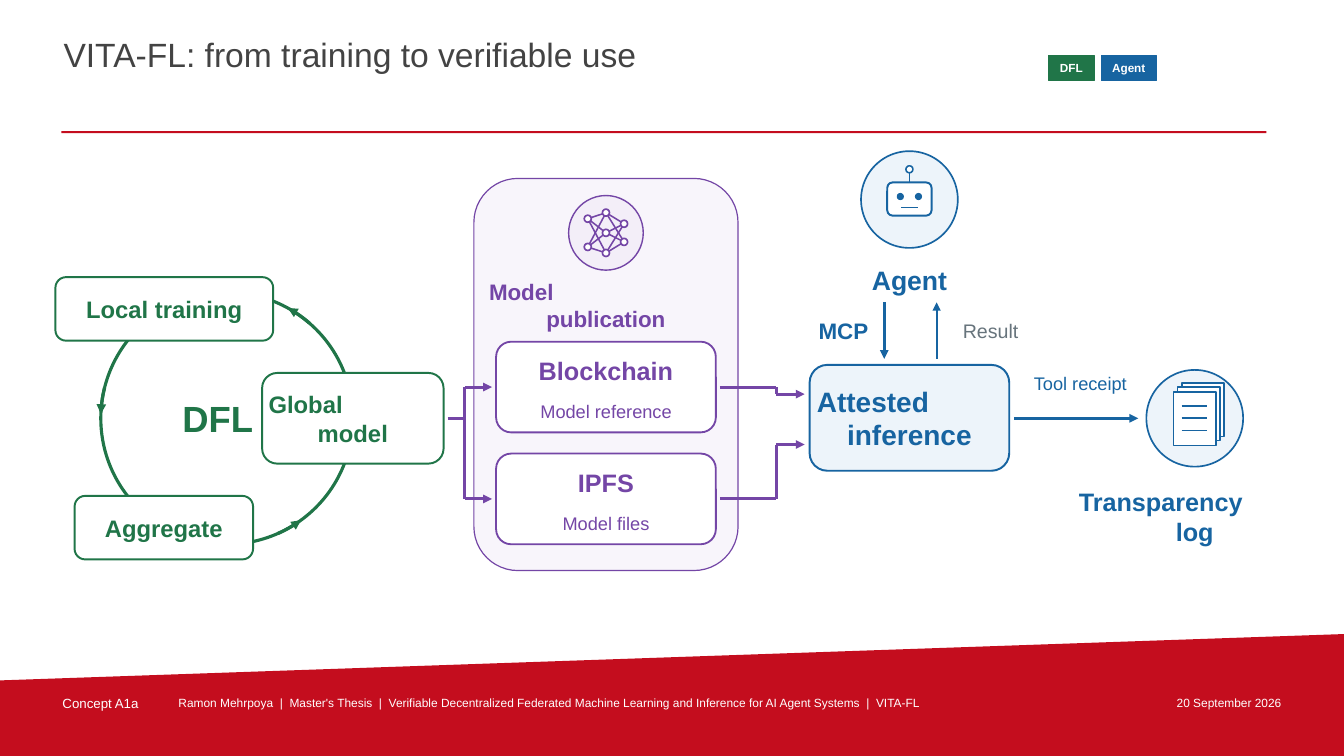
"""Build the VITA-FL slide: training loop, model publication and verifiable use."""
from itertools import product
from math import cos, radians, sin

from lxml.etree import SubElement
from pptx import Presentation
from pptx.dml.color import RGBColor
from pptx.enum.shapes import MSO_CONNECTOR, MSO_SHAPE
from pptx.enum.text import MSO_ANCHOR, PP_ALIGN
from pptx.oxml.ns import qn
from pptx.util import Inches, Pt

RED = RGBColor(0xC4, 0x0D, 0x1E)
GREEN = RGBColor(0x20, 0x75, 0x48)
BLUE = RGBColor(0x17, 0x64, 0xA1)
PURPLE = RGBColor(0x74, 0x46, 0xA6)
DARK = RGBColor(0x43, 0x43, 0x43)
GREY = RGBColor(0x67, 0x74, 0x7C)
WHITE = RGBColor(0xFF, 0xFF, 0xFF)
PALE_BLUE = RGBColor(0xED, 0xF4, 0xFA)
PALE_PURPLE = RGBColor(0xF8, 0xF5, 0xFB)
SOFT_PURPLE = RGBColor(0xF3, 0xEE, 0xF8)

RECT, ROUND, OVAL = MSO_SHAPE.RECTANGLE, MSO_SHAPE.ROUNDED_RECTANGLE, MSO_SHAPE.OVAL
LEFT, CENTER, RIGHT = PP_ALIGN.LEFT, PP_ALIGN.CENTER, PP_ALIGN.RIGHT

WIDTH, HEIGHT = 13.33, 7.5
BAND = [(0, 6.75), (WIDTH, 6.29), (WIDTH, HEIGHT), (0, HEIGHT)]
FRAME_TEXTS = [
    ("VITA-FL: from training to verifiable use", (0.61, 0.32, 9.65, 0.62), 24, DARK, LEFT),
    ("Concept A1a", (0.6, 6.88, 1, 0.22), 9.5, WHITE, LEFT),
    ("Ramon Mehrpoya  |  Master's Thesis  |  Verifiable Decentralized Federated Machine "
     "Learning and Inference for AI Agent Systems  |  VITA-FL",
     (1.75, 6.88, 9.35, 0.22), 8.5, WHITE, LEFT),
    ("20 September 2026", (11.2, 6.88, 1.53, 0.22), 8.5, WHITE, RIGHT),
]
BADGES = [("DFL", (10.4, 0.55, 0.45, 0.25), GREEN), ("Agent", (10.92, 0.55, 0.55, 0.25), BLUE)]
LOOP_CENTER, LOOP_RADIUS = (2.25, 4.15), 1.25
LOOP_ARROW_STARTS, LOOP_SWEEP, LOOP_PIECES = (194, 66, -49), -12, 8
STAGES = [
    ("Local training", (0.55, 2.75, 2.16, 0.63), 17, GREEN, WHITE),
    ("Aggregate", (0.74, 4.92, 1.77, 0.63), 17, GREEN, WHITE),
    ("Global\nmodel", (2.6, 3.7, 1.8, 0.9), 17, GREEN, WHITE),
    ("Attested\ninference", (8.03, 3.62, 1.98, 1.05), 20, BLUE, PALE_BLUE),
]
LABELS = [
    ("Model\npublication", (4.85, 2.71, 2.32, 0.64), 16, PURPLE, True),
    ("DFL", (1.49, 3.9, 1.34, 0.5), 26, GREEN, True),
    ("Agent", (7.87, 2.59, 2.3, 0.38), 19, BLUE, True),
    ("MCP", (8.04, 3.13, 0.65, 0.3), 16, BLUE, True),
    ("Result", (9.43, 3.13, 0.79, 0.3), 14, GREY, False),
    ("Tool receipt", (10.1, 3.64, 1.23, 0.33), 13, BLUE, False),
    ("Transparency\nlog", (10.7, 4.76, 2.3, 0.72), 18, BLUE, True),
]
CARDS = [("Blockchain", "Model reference", 3.39), ("IPFS", "Model files", 4.5)]
ROUTES = [
    ([(4.44, 4.15), (4.61, 4.15), (4.61, 3.84), (4.88, 3.84)], PURPLE, 2.1),
    ([(4.61, 4.15), (4.61, 4.95), (4.88, 4.95)], PURPLE, 2.1),
    ([(7.14, 3.84), (7.7, 3.84), (7.7, 3.91), (7.98, 3.91)], PURPLE, 2.1),
    ([(7.14, 4.95), (7.7, 4.95), (7.7, 4.41), (7.98, 4.41)], PURPLE, 2.1),
    ([(8.77, 3), (8.77, 3.56)], BLUE, 2.1),
    ([(9.29, 3.56), (9.29, 3)], BLUE, 1.5),
    ([(10.06, 4.15), (11.29, 4.15)], BLUE, 2.1),
]
NETWORK_LAYERS = [
    [(5.83, 2.17), (5.83, 2.45)],
    [(6.01, 2.11), (6.01, 2.31), (6.01, 2.51)],
    [(6.19, 2.22), (6.19, 2.4)],
]

deck = Presentation()
deck.slide_width, deck.slide_height = Inches(WIDTH), Inches(HEIGHT)
page = deck.slides.add_slide(deck.slide_layouts[6])


def write(box, text, size, color, bold=False, align=CENTER, anchor=MSO_ANCHOR.MIDDLE, inset=(0, 0)):
    """Fill a box with text; a two-line label starts flush left."""
    frame = box.text_frame
    frame.word_wrap = True
    frame.vertical_anchor = anchor
    frame.margin_left = frame.margin_right = Inches(inset[0])
    frame.margin_top = frame.margin_bottom = Inches(inset[1])
    frame.text = text
    for para in frame.paragraphs:
        para.alignment = align
        for span in para.runs:
            span.font.name, span.font.size = "Arial", Pt(size)
            span.font.bold, span.font.color.rgb = bold, color
    if len(frame.paragraphs) > 1:
        frame.paragraphs[0].alignment = LEFT


def add_text(text, place, size, color, **style):
    """Add a text box."""
    write(page.shapes.add_textbox(*map(Inches, place)), text, size, color, **style)


def paint(shape, fill, line=None, weight=1):
    """Set fill and outline, without shadow."""
    shape.shadow.inherit = False
    shape.fill.solid()
    shape.fill.fore_color.rgb = fill
    if line is None:
        shape.line.fill.background()
    else:
        shape.line.color.rgb, shape.line.width = line, Pt(weight)
    return shape


def add_shape(kind, place, fill, line=None, weight=1):
    """Add a painted preset shape."""
    return paint(page.shapes.add_shape(kind, *map(Inches, place)), fill, line, weight)


def add_dot(center, size, fill, line, weight):
    """Add a circle around a center point."""
    corner = [value - size / 2 for value in center]
    add_shape(OVAL, (*corner, size, size), fill, line, weight)


def add_route(points, color, weight, arrow=True):
    """Join points with straight lines, the last one ending in an arrowhead."""
    for start, end in zip(points, points[1:]):
        line = page.shapes.add_connector(MSO_CONNECTOR.STRAIGHT, *map(Inches, (*start, *end)))
        line.line.color.rgb, line.line.width = color, Pt(weight)
        properties = line._element.spPr
        SubElement(properties, qn("a:effectLst"))
        if arrow and end == points[-1]:
            SubElement(properties.find(qn("a:ln")), qn("a:tailEnd"), type="triangle")


def draw_frame():
    """Draw the title, rule, badges and footer."""
    corners = [(Inches(x), Inches(y)) for x, y in BAND]
    outline = page.shapes.build_freeform(*corners[0])
    outline.add_line_segments(corners[1:], close=True)
    paint(outline.convert_to_shape(), RED)
    add_shape(RECT, (0.61, 1.3, 11.95, 0.02), RED)
    for text, place, size, color, align in FRAME_TEXTS:
        add_text(text, place, size, color, align=align, anchor=MSO_ANCHOR.TOP, inset=(0.02, 0.02))
    for text, place, color in BADGES:
        write(add_shape(RECT, place, color, color, 0.55), text, 8.4, WHITE, bold=True)


def draw_publication():
    """Draw the publication panel with its network icon and cards."""
    add_shape(ROUND, (4.7, 1.77, 2.62, 3.89), PALE_PURPLE, PURPLE, 0.85)
    add_dot((6.01, 2.31), 0.74, SOFT_PURPLE, PURPLE, 1)
    for layer, following in zip(NETWORK_LAYERS, NETWORK_LAYERS[1:]):
        for link in product(layer, following):
            add_route(link, PURPLE, 1.1, arrow=False)
    for node in sum(NETWORK_LAYERS, []):
        add_dot(node, 0.07, WHITE, PURPLE, 1.2)
    for name, detail, top in CARDS:
        add_shape(ROUND, (4.92, top, 2.18, 0.9), WHITE, PURPLE, 1.3)
        add_text(name, (5, top + 0.11, 2.02, 0.36), 18, PURPLE, bold=True)
        add_text(detail, (5, top + 0.55, 2.02, 0.28), 13, PURPLE)


def draw_loop():
    """Draw the training circle with its arrows."""
    add_dot(LOOP_CENTER, 2 * LOOP_RADIUS, WHITE, GREEN, 2.25)
    for start in LOOP_ARROW_STARTS:
        angles = [radians(start + LOOP_SWEEP * step / LOOP_PIECES) for step in range(LOOP_PIECES + 1)]
        add_route([(LOOP_CENTER[0] + LOOP_RADIUS * cos(angle), LOOP_CENTER[1] + LOOP_RADIUS * sin(angle))
                   for angle in angles], GREEN, 2.3)


def draw_robot():
    """Draw the agent icon."""
    add_dot((9.02, 1.98), 0.96, PALE_BLUE, BLUE, 1.2)
    add_shape(ROUND, (8.8, 1.81, 0.44, 0.33), WHITE, BLUE, 1.4)
    for eye in (8.93, 9.11):
        add_dot((eye, 1.95), 0.06, BLUE, BLUE, 0.8)
    add_route([(8.94, 2.06), (9.1, 2.06)], BLUE, 1.2, arrow=False)
    add_route([(9.02, 1.81), (9.02, 1.72)], BLUE, 1.2, arrow=False)
    add_dot((9.02, 1.68), 0.07, WHITE, BLUE, 1.1)


def draw_log():
    """Draw the stacked pages of the transparency log."""
    add_dot((11.85, 4.15), 0.96, PALE_BLUE, BLUE, 1.2)
    for left, top in ((11.72, 3.8), (11.68, 3.84), (11.64, 3.89)):
        add_shape(RECT, (left, top, 0.42, 0.53), WHITE, BLUE, 1.2)
    for y in (4.03, 4.15, 4.27):
        add_route([(11.72, y), (11.97, y)], BLUE, 1.2, arrow=False)


draw_frame()
draw_publication()
draw_loop()
for text, place, size, color, fill in STAGES:
    write(add_shape(ROUND, place, fill, color, 1.4), text, size, color, bold=True, inset=(0.02, 0))
draw_robot()
draw_log()
for points, color, weight in ROUTES:
    add_route(points, color, weight)
for text, place, size, color, bold in LABELS:
    add_text(text, place, size, color, bold=bold)
deck.save("out.pptx")
